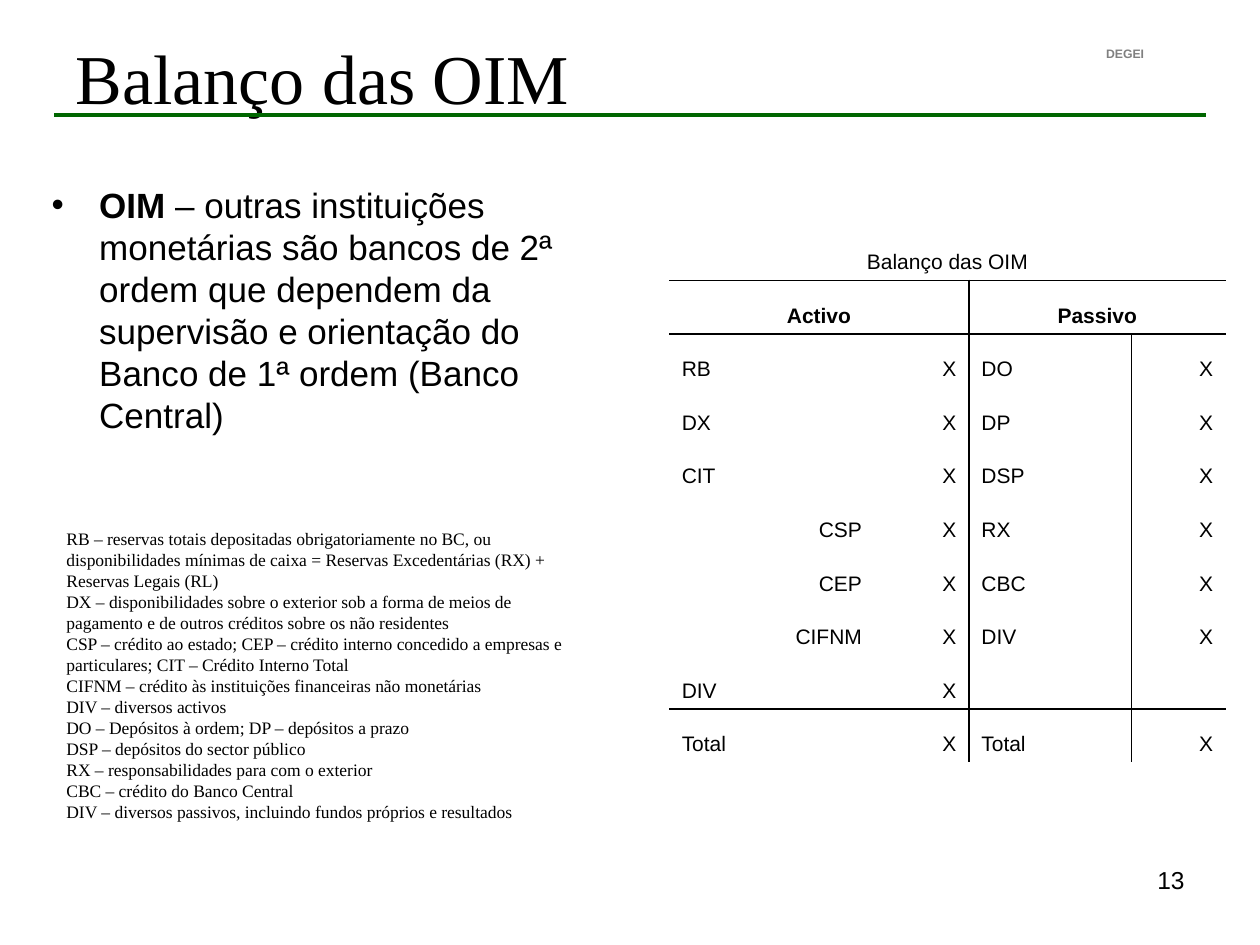
import pptx
import pptx.util
import pptx.dml.color
import pptx.enum.shapes
import pptx.enum.text
import pptx.oxml.ns
from dataclasses import dataclass
from lxml import etree

Cm, Pt = pptx.util.Cm, pptx.util.Pt
ALIGN = pptx.enum.text.PP_ALIGN
ANCHOR = pptx.enum.text.MSO_ANCHOR
NO_STYLE = "{2D5ABB26-0587-4C30-8999-92F81FD0307C}"


@dataclass(frozen=True)
class Theme:
    sans: str = "Arial"
    serif: str = "Times New Roman"
    ink: str = "000000"
    muted: str = "808080"
    rule: str = "006600"
    title: int = 40
    body: int = 20
    number: int = 14
    table: int = 12
    notes: int = 10
    label: int = 7


def child(parent, tag, **attributes):
    return etree.SubElement(parent, pptx.oxml.ns.qn(tag), **attributes)


class SlideBuilder:
    def __init__(self, slide, theme):
        self.slide, self.theme = slide, theme

    def run(self, paragraph, text, size, font=None, color=None, bold=False):
        run = paragraph.add_run()
        run.text = text
        run.font.size = Pt(size)
        run.font.name = font or self.theme.sans
        run.font.bold = bold
        run.font.color.rgb = pptx.dml.color.RGBColor.from_string(color or self.theme.ink)

    def title(self, text, box):
        heading = self.slide.shapes.title
        heading.left, heading.top, heading.width, heading.height = map(Cm, box)
        frame = heading.text_frame
        frame.auto_size = pptx.enum.text.MSO_AUTO_SIZE.NONE
        frame.vertical_anchor = ANCHOR.MIDDLE
        frame.paragraphs[0].alignment = ALIGN.LEFT
        self.run(frame.paragraphs[0], text, self.theme.title, self.theme.serif)

    def text(self, paragraphs, box, size, align=ALIGN.LEFT, **style):
        """Each paragraph is a list of (text, bold) runs."""
        frame = self.slide.shapes.add_textbox(*map(Cm, box)).text_frame
        frame.word_wrap = True
        for index, runs in enumerate(paragraphs):
            paragraph = frame.add_paragraph() if index else frame.paragraphs[0]
            paragraph.alignment = align
            for words, bold in runs:
                self.run(paragraph, words, size, bold=bold, **style)
        return frame

    def bullet(self, paragraph, indent):
        paragraph.space_before = Pt(4)
        properties = paragraph._p.get_or_add_pPr()
        properties.set("marL", str(Cm(indent)))
        properties.set("indent", str(-Cm(indent)))
        child(properties, "a:buFont", typeface=self.theme.sans)
        child(properties, "a:buChar", char="•")

    def line(self, start, end, color, width):
        rule = self.slide.shapes.add_connector(
            pptx.enum.shapes.MSO_CONNECTOR.STRAIGHT, *map(Cm, start + end))
        rule.line.color.rgb = pptx.dml.color.RGBColor.from_string(color)
        rule.line.width = Pt(width)
        child(rule._element.spPr, "a:effectLst")

    def table(self, rows, left, top, widths, row_height):
        frame = self.slide.shapes.add_table(
            len(rows), len(widths), Cm(left), Cm(top),
            Cm(sum(widths)), Cm(row_height * len(rows)))
        table = frame.table
        table.first_row = table.horz_banding = False
        table._tbl.tblPr.find(pptx.oxml.ns.qn("a:tableStyleId")).text = NO_STYLE
        for column, width in zip(table.columns, widths):
            column.width = Cm(width)
        for row, values in zip(table.rows, rows):
            row.height = Cm(row_height)
            for cell, (text, align, bold) in zip(row.cells, values):
                cell.vertical_anchor = ANCHOR.BOTTOM
                paragraph = cell.text_frame.paragraphs[0]
                paragraph.alignment = align
                paragraph.font.size = Pt(self.theme.table)
                if text:
                    self.run(paragraph, text, self.theme.table, bold=bold)
        return table

    def border(self, cell, sides):
        properties = cell._tc.get_or_add_tcPr()
        for side in "LRTB":
            if side in sides:
                edge = child(properties, f"a:ln{side}", w=str(Pt(1)))
                child(child(edge, "a:solidFill"), "a:srgbClr", val=self.theme.ink)
        cell.fill.background()


theme = Theme()
deck = pptx.Presentation()
deck.slide_width, deck.slide_height = Cm(25.4), Cm(19.05)
page = SlideBuilder(deck.slides.add_slide(deck.slide_layouts[5]), theme)

# Header and page number
page.text([[("DEGEI", True)]], (22.05, 0.81, 2.13, 0.56), theme.label, color=theme.muted)
page.line((1.09, 2.31), (24.31, 2.31), theme.rule, 2.25)
page.title("Balanço das OIM", (1.27, 0.76, 22.86, 1.55))
page.text([[("13", False)]], (18.21, 17.32, 5.92, 1.35), theme.number, ALIGN.RIGHT)

# Definition
definition = page.text([[
    ("OIM", True),
    (" – outras instituições monetárias são bancos de 2ª ordem que dependem da "
     "supervisão e orientação do Banco de 1ª ordem (Banco Central)", False),
]], (0.79, 3.58, 11.23, 5.36), theme.body)
page.bullet(definition.paragraphs[0], 0.96)

# Balance sheet: assets on the left, liabilities on the right
assets = ["RB", "DX", "CIT", "CSP", "CEP", "CIFNM", "DIV", "Total"]
liabilities = ["DO", "DP", "DSP", "RX", "CBC", "DIV", "", "Total"]
credit_parts = {"CSP", "CEP", "CIFNM"}
blank = ("", ALIGN.LEFT, False)


def entry(name, indented=False):
    if not name:
        return [blank, blank]
    return [(name, ALIGN.RIGHT if indented else ALIGN.LEFT, False),
            ("X", ALIGN.RIGHT, False)]


sheet_rows = [
    [("Balanço das OIM", ALIGN.CENTER, False), blank, blank, blank],
    [("Activo", ALIGN.CENTER, True), blank, ("Passivo", ALIGN.CENTER, True), blank],
] + [entry(asset, asset in credit_parts) + entry(liability)
     for asset, liability in zip(assets, liabilities)]
sheet = page.table(sheet_rows, 13.49, 4.57, (4.14, 1.9, 3.28, 1.9), 1.08)

# Rules under the heading, above the totals and between the two sides
last = len(sheet_rows) - 1
for r in range(last + 1):
    for c in range(4):
        sides = "B" if r in (0, last - 1) else "T" if r in (1, last) else ""
        if r:
            sides += {1: "R", 2: "L"}.get(c, "")
        page.border(sheet.cell(r, c), sides)
sheet.cell(0, 0).merge(sheet.cell(0, 3))
for c in (0, 2):
    sheet.cell(1, c).merge(sheet.cell(1, c + 1))
# The merged asset heading carries the centre rule on its own right edge
page.border(sheet.cell(1, 0), "")
heading = sheet.cell(1, 0)._tc.tcPr
edge = etree.Element(pptx.oxml.ns.qn("a:lnR"), w=str(Pt(1)))
child(child(edge, "a:solidFill"), "a:srgbClr", val=theme.ink)
heading.insert(0, edge)

# Abbreviations
abbreviations = [
    "RB – reservas totais depositadas obrigatoriamente no BC, ou disponibilidades "
    "mínimas de caixa = Reservas Excedentárias (RX) + Reservas Legais (RL)",
    "DX – disponibilidades sobre o exterior sob a forma de meios de pagamento e de "
    "outros créditos sobre os não residentes",
    "CSP – crédito ao estado; CEP – crédito interno concedido a empresas e "
    "particulares; CIT – Crédito Interno Total",
    "CIFNM – crédito às instituições financeiras não monetárias",
    "DIV – diversos activos",
    "DO – Depósitos à ordem; DP – depósitos a prazo",
    "DSP – depósitos do sector público",
    "RX – responsabilidades para com o exterior",
    "CBC – crédito do Banco Central",
    "DIV – diversos passivos, incluindo fundos próprios e resultados",
]
page.text([[(words, False)] for words in abbreviations],
          (1.09, 10.52, 10.59, 6.17), theme.notes, font=theme.serif)

deck.save("out.pptx")
